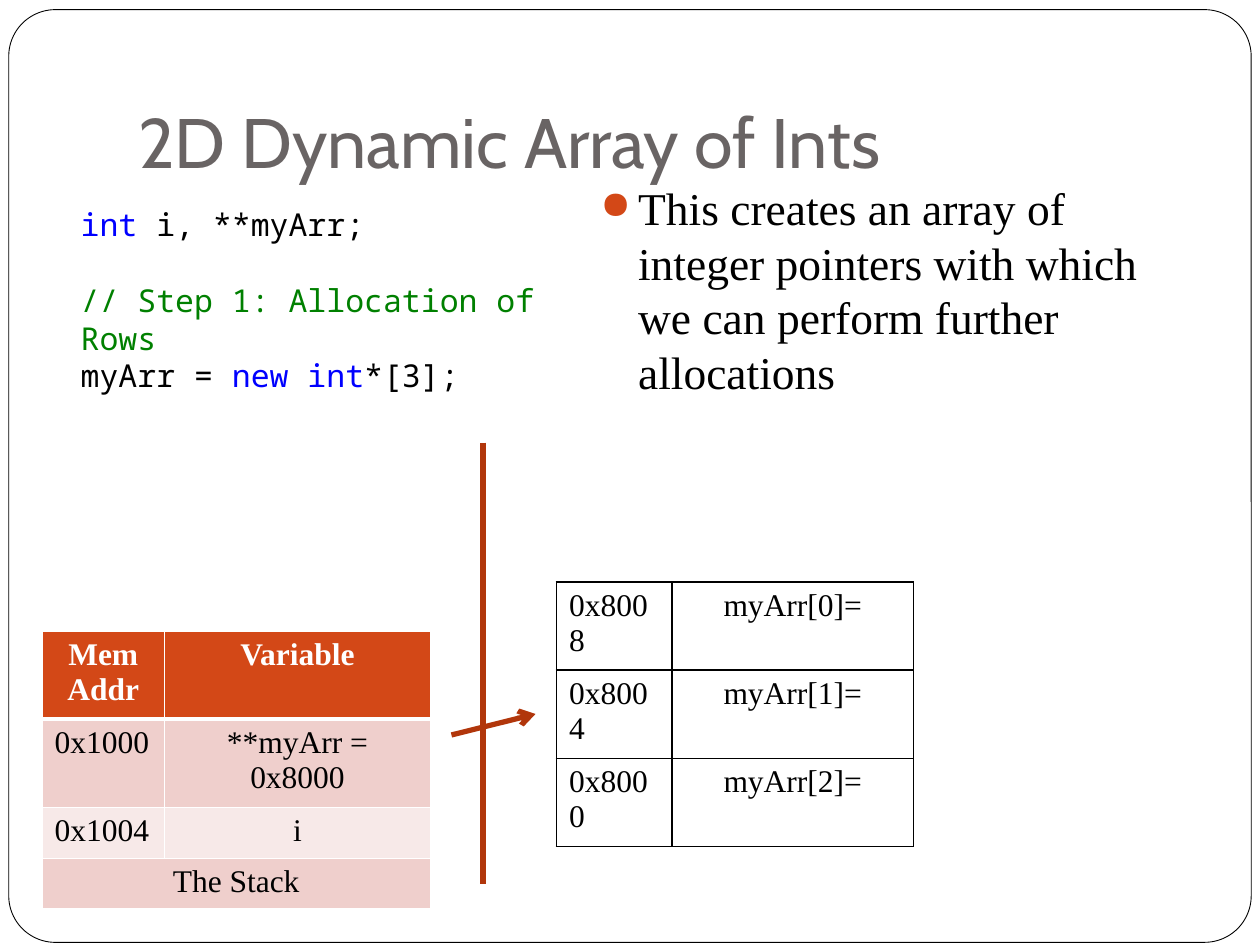
"""Build a slide on allocating the rows of a 2D dynamic array."""
from dataclasses import dataclass

from pptx import Presentation
from pptx.dml.color import RGBColor
from pptx.enum.shapes import MSO_CONNECTOR, MSO_SHAPE
from pptx.enum.text import MSO_ANCHOR, PP_ALIGN
from pptx.oxml import parse_xml
from pptx.oxml.ns import nsdecls
from pptx.util import Pt

NS = nsdecls("a")


@dataclass(frozen=True)
class Theme:
    ink: str = "000000"
    paper: str = "FFFFFF"
    title: str = "696464"
    accent: str = "D34817"
    line: str = "B1360B"
    band: str = "EFCFCC"
    pale: str = "F7E9E8"
    key: str = "0000FF"
    note: str = "008000"
    head: str = "Cabin"
    mono: str = "Noto Sans Mono"
    serif: str = "Times New Roman"
    big: float = 40
    mid: float = 26
    small: float = 18


class Deck:
    def __init__(self, theme):
        self.theme = theme
        self.prs = Presentation()
        self.prs.slide_width, self.prs.slide_height = Pt(720), Pt(540)
        self.slide = self.prs.slides.add_slide(self.prs.slide_layouts[6])

    def run(self, para, text, font, size, color, bold=False):
        run = para.add_run()
        run.text = text
        run.font.name, run.font.size, run.font.bold = font, Pt(size), bold
        run.font.color.rgb = RGBColor.from_string(color)

    def frame(self, x, y, w, h, round_by):
        box = self.slide.shapes.add_shape(
            MSO_SHAPE.ROUNDED_RECTANGLE, Pt(x), Pt(y), Pt(w), Pt(h))
        box.adjustments[0] = round_by
        box.shadow.inherit = False
        box.fill.solid()
        box.fill.fore_color.rgb = RGBColor.from_string(self.theme.paper)
        box.line.color.rgb = RGBColor.from_string(self.theme.ink)
        box.line.width = Pt(0.5)

    def text(self, x, y, w, h, lines, font, size, anchor=MSO_ANCHOR.TOP, foot=3.6):
        box = self.slide.shapes.add_textbox(Pt(x), Pt(y), Pt(w), Pt(h))
        body = box.text_frame
        body.word_wrap, body.vertical_anchor = True, anchor
        body.margin_bottom = Pt(foot)
        for n, (gap, runs) in enumerate(lines):
            para = body.add_paragraph() if n else body.paragraphs[0]
            para.space_before = Pt(gap)
            for words, color in runs:
                self.run(para, words, font, size, color)
        return body

    def bullet(self, para, indent):
        props = para._p.get_or_add_pPr()
        props.set("marL", str(Pt(indent)))
        props.set("indent", str(-Pt(indent)))
        for xml in (
            f'<a:buClr {NS}><a:srgbClr val="{self.theme.accent}"/></a:buClr>',
            f'<a:buSzPct {NS} val="85000"/>',
            f'<a:buChar {NS} char="●"/>',
        ):
            props.append(parse_xml(xml))

    def line(self, x1, y1, x2, y2, arrow=False):
        link = self.slide.shapes.add_connector(
            MSO_CONNECTOR.STRAIGHT, Pt(x1), Pt(y1), Pt(x2), Pt(y2))
        link.line.color.rgb = RGBColor.from_string(self.theme.line)
        link.line.width = Pt(3)
        if arrow:
            link.line._get_or_add_ln().append(
                parse_xml(f'<a:tailEnd {NS} type="arrow"/>'))
        link._element.spPr.append(parse_xml(f"<a:effectLst {NS}/>"))

    def edge(self, cell, color, foot=1):
        props = cell._tc.get_or_add_tcPr()
        for n, side in enumerate("LRTB"):
            width = Pt(foot if side == "B" else 1)
            props.insert(n, parse_xml(
                f'<a:ln{side} {NS} w="{width}"><a:solidFill>'
                f'<a:srgbClr val="{color}"/></a:solidFill></a:ln{side}>'))

    def table(self, x, y, cols, heights, rows, border, fills=None, header=False):
        grid = self.slide.shapes.add_table(
            len(rows), len(cols), Pt(x), Pt(y), Pt(sum(cols)), Pt(sum(heights))).table
        grid.first_row = grid.horz_banding = False
        for col, width in zip(grid.columns, cols):
            col.width = Pt(width)
        for r, (words, height) in enumerate(zip(rows, heights)):
            grid.rows[r].height = Pt(height)
            top = header and r == 0
            if len(words) < len(cols):
                grid.cell(r, 0).merge(grid.cell(r, len(cols) - 1))
            for c in range(len(cols)):
                cell = grid.cell(r, c)
                if fills:
                    cell.fill.solid()
                    cell.fill.fore_color.rgb = RGBColor.from_string(fills[r])
                else:
                    cell.fill.background()
                self.edge(cell, border, 3 if top else 1)
                if c < len(words):
                    para = cell.text_frame.paragraphs[0]
                    mid = top or c > 0 or len(words) == 1
                    para.alignment = PP_ALIGN.CENTER if mid else PP_ALIGN.LEFT
                    color = self.theme.paper if top else self.theme.ink
                    self.run(para, words[c], self.theme.serif,
                             self.theme.small, color, top)


def main():
    look = Theme()
    deck = Deck(look)
    deck.frame(5, 5.5, 710, 533, 0.05)
    deck.text(72, 21.6, 612, 90, [(0, [("2D Dynamic Array of Ints", look.title)])],
              look.head, look.big, MSO_ANCHOR.BOTTOM, 7.2)
    code = [
        (0, [("int ", look.key), ("i, **myArr;", look.ink)]),
        (21.5, [("// Step 1: Allocation of Rows", look.note)]),
        (0, [("myArr = ", look.ink), ("new int", look.key), ("*[3];", look.ink)]),
    ]
    deck.text(39, 113.8, 312, 116.6, code, look.mono, look.small)
    stack = [("Mem Addr", "Variable"), ("0x1000", "**myArr = 0x8000"),
             ("0x1004", "i"), ("The Stack",)]
    deck.table(24, 360.5, (70, 152), (29.2, 29.2, 29.2, 26.6), stack, look.paper,
               (look.accent, look.band, look.pale, look.band), True)
    deck.line(276, 253, 276, 505)
    heap = [(f"0x{0x8008 - 4 * n:x}", f"myArr[{n}]=") for n in range(3)]
    deck.table(318, 332.5, (66, 138), (29.2,) * 3, heap, look.ink)
    deck.line(258, 420, 306, 408, True)
    idea = ("This creates an array of integer pointers with which "
            "we can perform further allocations")
    body = deck.text(336, 99.4, 354, 154, [(5.8, [(idea, look.ink)])],
                     look.serif, look.mid)
    deck.bullet(body.paragraphs[0], 21.6)
    deck.prs.save("out.pptx")


if __name__ == "__main__":
    main()
